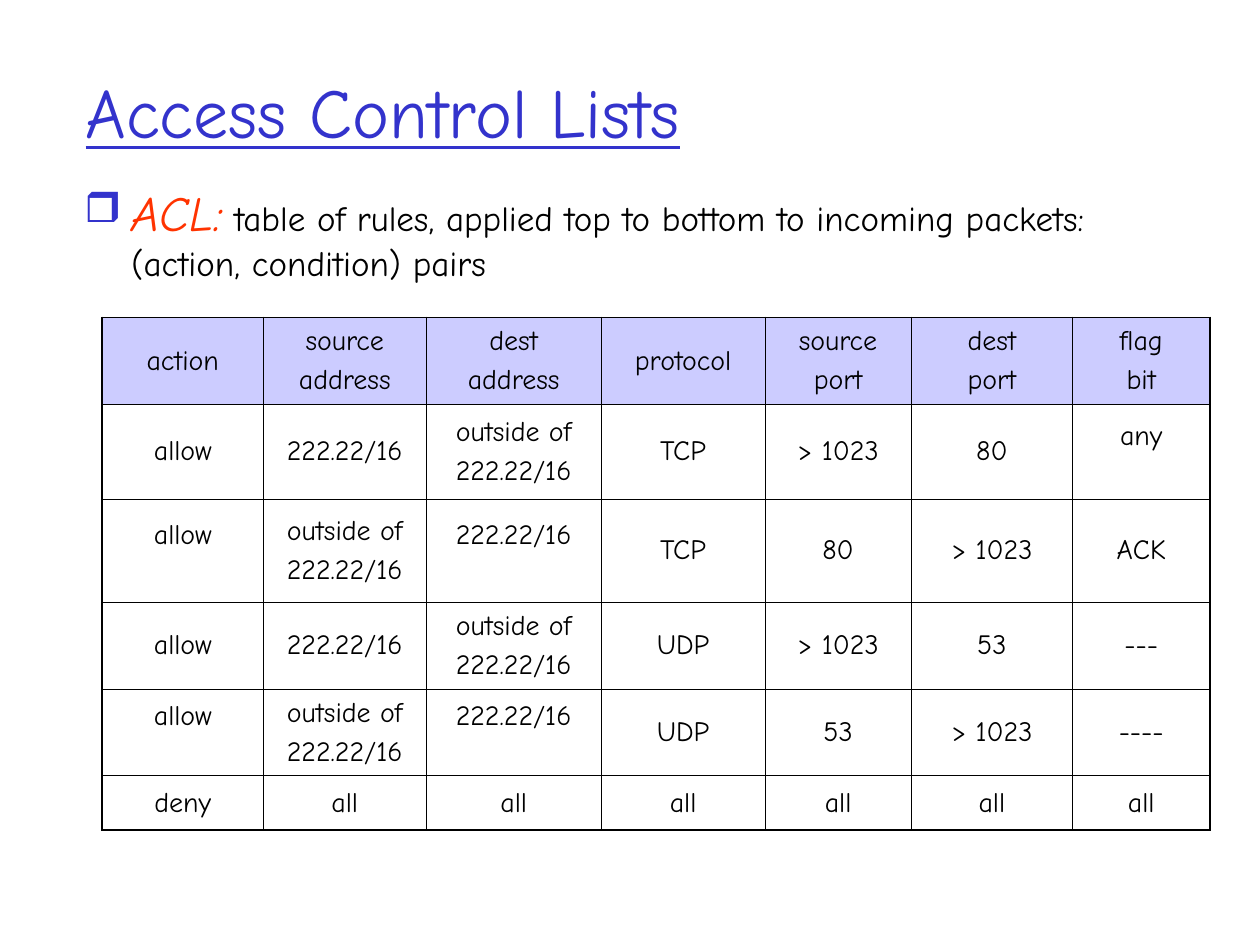
from lxml.etree import SubElement as Sub
from pptx import Presentation
from pptx.dml.color import RGBColor
from pptx.enum.text import MSO_ANCHOR as Anchor, MSO_AUTO_SIZE as Fit, PP_ALIGN as Align
from pptx.oxml.ns import qn
from pptx.util import Cm, Pt

FACE = "Comic Neue"
BLUE, RED, BLACK, LILAC = "3333CC", "FF3300", "000000", "CCCCFF"


def style(font, size, color):
    font.name, font.size = FACE, Pt(size)
    font.color.rgb = RGBColor.from_string(color)


def edge(cell, side, width):
    """Draw one black border of a cell; side is L, R, T or B."""
    line = Sub(cell._tc.get_or_add_tcPr(), qn(f"a:ln{side}"), w=str(Pt(width)))
    Sub(Sub(line, qn("a:solidFill")), qn("a:srgbClr"), val=BLACK)


prs = Presentation()
prs.slide_width, prs.slide_height = Cm(25.4), Cm(19.05)
slide = prs.slides.add_slide(prs.slide_layouts[5])

# Title
title = slide.shapes.title
title.left, title.top, title.width, title.height = Cm(1.47), Cm(0.64), Cm(21.59), Cm(3.18)
frame = title.text_frame
frame.text = "Access Control Lists"
frame.auto_size = Fit.NONE
frame.vertical_anchor = Anchor.MIDDLE
para = frame.paragraphs[0]
para.alignment = Align.LEFT
style(para.font, 40, BLUE)
para.font.underline = True

# Definition with a square bullet
box = slide.shapes.add_textbox(Cm(1.45), Cm(3.56), Cm(21.59), Cm(2.82))
box.text_frame.word_wrap = True
para = box.text_frame.paragraphs[0]
props = para._p.get_or_add_pPr()
props.set("marL", str(Cm(0.95)))
props.set("indent", str(Cm(-0.95)))
Sub(Sub(props, qn("a:buClr")), qn("a:srgbClr"), val=BLUE)
Sub(props, qn("a:buSzPct"), val="85000")
Sub(props, qn("a:buChar"), char="❒")
term = para.add_run()
term.text = "ACL:"
style(term.font, 28, RED)
term.font.italic = True
rest = para.add_run()
rest.text = " table of rules, applied top to bottom to incoming packets: (action, condition) pairs"
style(rest.font, 20, BLACK)

# Rule table
NET, OUT = "222.22/16", "outside of\n222.22/16"
rules = [
    ["action", "source\naddress", "dest\naddress", "protocol", "source\nport", "dest\nport", "flag\nbit"],
    ["allow", NET, OUT, "TCP", "> 1023", "80", "any"],
    ["allow", OUT, NET, "TCP", "80", "> 1023", "ACK"],
    ["allow", NET, OUT, "UDP", "> 1023", "53", "---"],
    ["allow", OUT, NET, "UDP", "53", "> 1023", "----"],
    ["deny"] + ["all"] * 6,
]
raised = {(1, 6), (2, 0), (2, 2), (4, 0), (4, 2)}
widths = [3.25, 3.28, 3.53, 3.3, 2.95, 3.25, 2.77]
heights = [1.75, 1.91, 2.08, 1.75, 1.75, 1.09]
THIN, THICK = 0.45, 1.08

grid = slide.shapes.add_table(len(heights), len(widths), Cm(2.06), Cm(6.4),
                              Cm(sum(widths)), Cm(sum(heights))).table
grid.first_row = grid.horz_banding = False
for col, width in zip(grid.columns, widths):
    col.width = Cm(width)
for row, height in zip(grid.rows, heights):
    row.height = Cm(height)

last_r, last_c = len(heights) - 1, len(widths) - 1
for r, rule in enumerate(rules):
    for c, text in enumerate(rule):
        cell = grid.cell(r, c)
        cell.text = text
        cell.vertical_anchor = Anchor.MIDDLE
        if (r, c) in raised:
            cell.margin_bottom = Cm(0.76)
        for side, outer in zip("LRTB", (c == 0, c == last_c, r == 0, r == last_r)):
            edge(cell, side, THICK if outer else THIN)
        if r == 0:
            cell.fill.solid()
            cell.fill.fore_color.rgb = RGBColor.from_string(LILAC)
        else:
            cell.fill.background()
        for n, para in enumerate(cell.text_frame.paragraphs):
            para.alignment = Align.CENTER
            if n:
                para.space_before = Pt(4)
            style(para.font, 16, BLACK)

prs.save("out.pptx")
